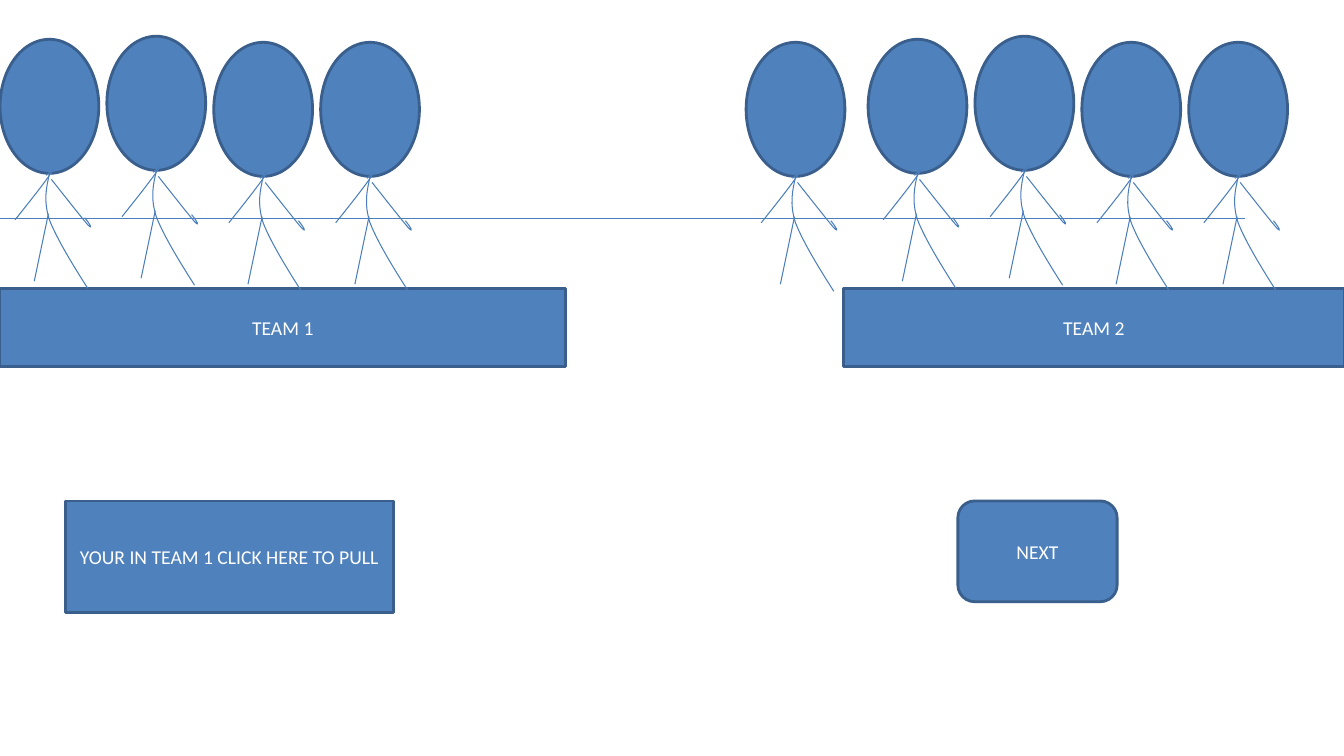
from dataclasses import dataclass

from lxml.etree import SubElement
from pptx import Presentation
from pptx.dml.color import RGBColor
from pptx.enum.shapes import MSO_SHAPE
from pptx.enum.text import MSO_ANCHOR, PP_ALIGN
from pptx.oxml.ns import qn
from pptx.util import Inches, Pt


@dataclass(frozen=True)
class Theme:
    """Colours, line widths and type of the slide."""
    fill: RGBColor = RGBColor(0x4F, 0x81, 0xBD)
    outline: RGBColor = RGBColor(0x3A, 0x5F, 0x8C)
    stroke: RGBColor = RGBColor(0x4B, 0x7E, 0xBC)
    label: RGBColor = RGBColor(0xFF, 0xFF, 0xFF)
    outline_width: Pt = Pt(2)
    stroke_width: Pt = Pt(0.75)
    font: str = "Calibri"
    label_size: Pt = Pt(14)


THEME = Theme()
HEAD_WIDTH, HEAD_HEIGHT = 0.98, 1.33
FIGURE_PITCH = 1.06
ROW_TOPS = (0.39, 0.36, 0.42, 0.42)
TORSO = [(0.49, 1.34), (0.46, 1.47), (0.43, 1.6), (0.49, 1.79),
         (0.56, 1.97), (0.71, 2.22), (0.87, 2.47)]
LEG = [(0.48, 1.73), (0.34, 2.4)]
RIGHT_ARM = [(0.51, 1.39), (0.66, 1.58), (0.81, 1.77), (0.87, 1.84),
             (0.93, 1.9), (0.89, 1.83), (0.84, 1.77)]
LEFT_ARM = [(0.15, 1.79), (0.31, 1.59), (0.46, 1.4), (0.51, 1.32),
            (0.56, 1.25), (0.51, 1.3), (0.46, 1.35)]


def apply_format(target, values):
    """Set each named attribute of the target."""
    for name, value in values.items():
        setattr(target, name, value)


def style_line(line, colour, width):
    """Give a line its colour and width."""
    line.color.rgb = colour
    line.width = width


def add_solid(slide, preset, left, top, width, height):
    """Add a filled and outlined preset shape."""
    solid = slide.shapes.add_shape(
        preset, Inches(left), Inches(top), Inches(width), Inches(height))
    solid.shadow.inherit = False
    solid.fill.solid()
    solid.fill.fore_color.rgb = THEME.fill
    style_line(solid.line, THEME.outline, THEME.outline_width)
    return solid


def add_labelled(slide, preset, label, *box):
    """Add a preset shape with a centred label."""
    frame = add_solid(slide, preset, *box).text_frame
    apply_format(frame, {"word_wrap": True,
                         "vertical_anchor": MSO_ANCHOR.MIDDLE})
    paragraph = frame.paragraphs[0]
    paragraph.alignment = PP_ALIGN.CENTER
    run = paragraph.add_run()
    run.text = label
    apply_format(run.font, {"name": THEME.font, "size": THEME.label_size})
    run.font.color.rgb = THEME.label


def add_stroke(slide, points):
    """Add an open thin outline through the points."""
    placed = [(Inches(x), Inches(y)) for x, y in points]
    builder = slide.shapes.build_freeform(*placed[0])
    builder.add_line_segments(placed[1:], close=False)
    stroke = builder.convert_to_shape()
    stroke.shadow.inherit = False
    stroke.fill.background()
    style_line(stroke.line, THEME.stroke, THEME.stroke_width)
    return stroke


def bend(stroke):
    """Turn each three straight segments into one Bezier curve."""
    outline = next(stroke._element.iter(qn("a:path")))
    segments = outline.findall(qn("a:lnTo"))
    for start in range(0, len(segments), 3):
        curve = SubElement(outline, qn("a:cubicBezTo"))
        for segment in segments[start:start + 3]:
            curve.append(segment[0])
            outline.remove(segment)


def add_figure(slide, left, top):
    """Add one stick figure and return its parts."""
    parts = [add_solid(slide, MSO_SHAPE.OVAL, left, top,
                       HEAD_WIDTH, HEAD_HEIGHT)]
    for limb in (TORSO, LEG, RIGHT_ARM, LEFT_ARM):
        stroke = add_stroke(slide, [(left + x, top + y) for x, y in limb])
        if limb is not LEG:
            bend(stroke)
        parts.append(stroke)
    return parts


def row_places(first_left):
    """Return the head positions of a row of four figures."""
    return [(first_left + index * FIGURE_PITCH, top)
            for index, top in enumerate(ROW_TOPS)]


def add_team(slide, name, platform_left, platform_width, places):
    """Add a platform and its grouped row of figures."""
    add_labelled(slide, MSO_SHAPE.RECTANGLE, name,
                 platform_left, 2.86, platform_width, 0.78)
    parts = [part for place in places for part in add_figure(slide, *place)]
    slide.shapes.add_group_shape(parts)


def main():
    """Build the tug of war slide."""
    deck = Presentation()
    apply_format(deck, {"slide_width": Inches(13.33),
                        "slide_height": Inches(7.5)})
    slide = deck.slides.add_slide(deck.slide_layouts[6])
    rope = add_stroke(slide, [(-0.98, 2.17), (12.35, 2.17)])
    rope.height = Inches(0.47)
    add_team(slide, "TEAM 2", 8.37, 4.96, [(7.4, 0.42)] + row_places(8.61))
    add_team(slide, "TEAM 1", 0, 5.61, row_places(0))
    add_labelled(slide, MSO_SHAPE.RECTANGLE,
                 "YOUR IN TEAM 1 CLICK HERE TO PULL", 0.65, 4.97, 3.25, 1.11)
    add_labelled(slide, MSO_SHAPE.ROUNDED_RECTANGLE, "NEXT",
                 9.5, 4.97, 1.58, 1)
    deck.save("out.pptx")


main()
